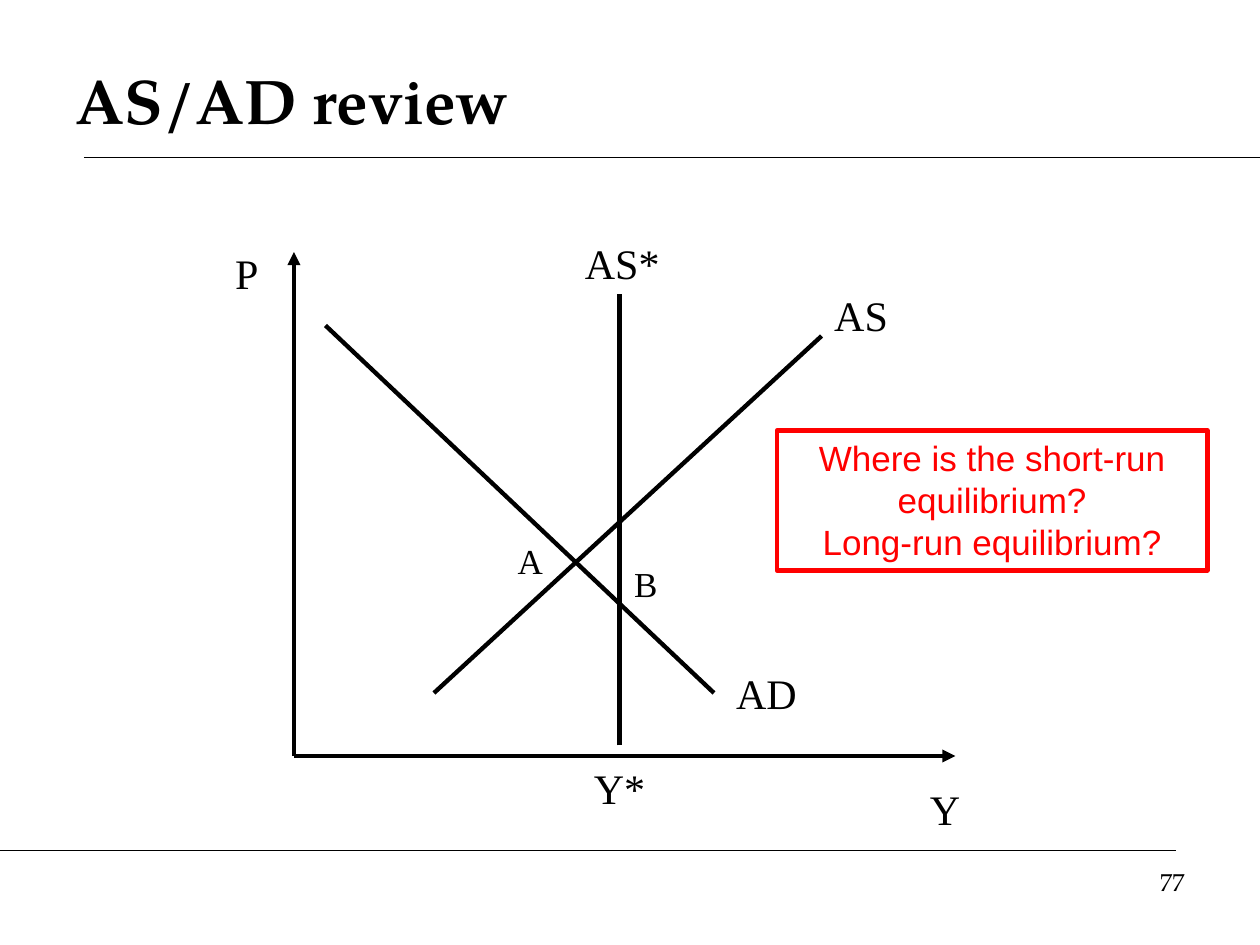
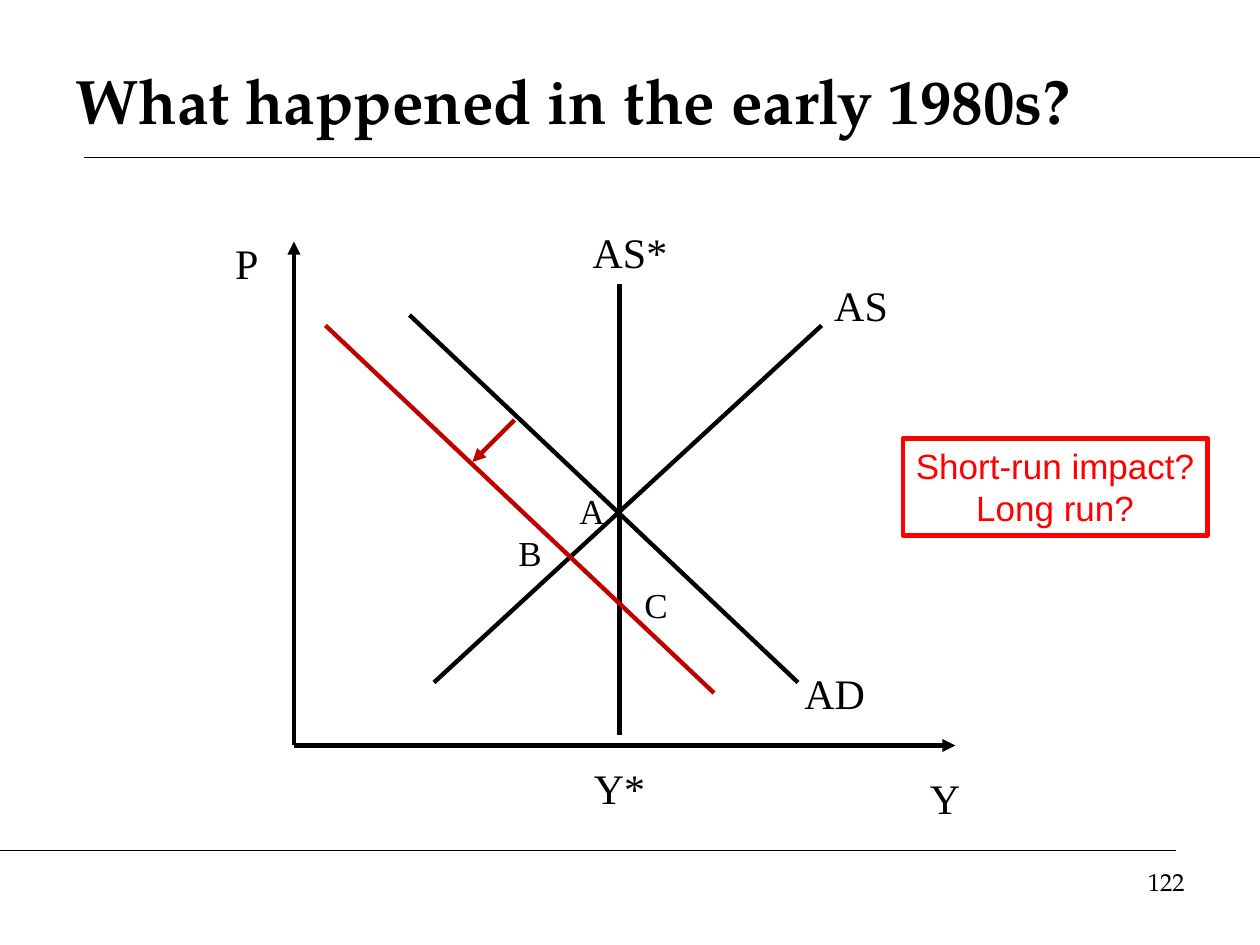
from dataclasses import dataclass

from lxml import etree
from pptx import Presentation
from pptx.dml.color import RGBColor
from pptx.enum.shapes import MSO_CONNECTOR, MSO_SHAPE
from pptx.enum.text import MSO_ANCHOR, PP_ALIGN
from pptx.oxml.ns import qn
from pptx.util import Pt

STRAIGHT = MSO_CONNECTOR.STRAIGHT
RECTANGLE = MSO_SHAPE.RECTANGLE
TOP = MSO_ANCHOR.TOP
MIDDLE = MSO_ANCHOR.MIDDLE
LEFT = PP_ALIGN.LEFT
CENTER = PP_ALIGN.CENTER
RIGHT = PP_ALIGN.RIGHT
TITLE_ONLY = 5


@dataclass(frozen=True)
class Theme:
    ink: RGBColor = RGBColor(0x00, 0x00, 0x00)
    question: RGBColor = RGBColor(0xFF, 0x00, 0x00)
    shift: RGBColor = RGBColor(0xC0, 0x00, 0x00)
    heading_font: str = "TeX Gyre Pagella"
    label_font: str = "Times New Roman"
    question_font: str = "Arial"
    title_size: float = 36
    label_size: float = 24
    point_size: float = 20
    question_size: float = 20
    number_size: float = 14
    rule_width: float = 0.75
    curve_width: float = 2.5


THEME = Theme()
WIDTH, HEIGHT = 720, 540
ORIGIN_X, ORIGIN_Y = 168, 432
LONG_RUN_X = 354
AD_START, AD_END = (186, 186), (408, 396)


def write_text(shape, text, font, size, color, align=CENTER, anchor=TOP, bold=False):
    frame = shape.text_frame
    frame.word_wrap = True
    frame.vertical_anchor = anchor
    frame.text = text
    for para in frame.paragraphs:
        para.alignment = align
        for span in para.runs:
            span.font.name = font
            span.font.size = Pt(size)
            span.font.bold = bold
            span.font.color.rgb = color


def add_line(slide, start, end, color=THEME.ink, width=THEME.curve_width, arrow=False):
    line = slide.shapes.add_connector(STRAIGHT, *map(Pt, (*start, *end)))
    line.line.color.rgb = color
    line.line.width = Pt(width)
    if arrow:
        etree.SubElement(line.line._get_or_add_ln(), qn("a:tailEnd"), type="triangle")
    etree.SubElement(line._element.spPr, qn("a:effectLst"))


def add_label(slide, text, left, top, width, size=THEME.label_size):
    box = slide.shapes.add_textbox(Pt(left), Pt(top), Pt(width), Pt(size * 1.5))
    write_text(box, text, THEME.label_font, size, THEME.ink)


def add_point(slide, text, left, top, width=42):
    add_label(slide, text, left, top, width, THEME.point_size)


def add_question(slide, text, left, top, width, height):
    box = slide.shapes.add_shape(RECTANGLE, Pt(left), Pt(top), Pt(width), Pt(height))
    box.shadow.inherit = False
    box.fill.background()
    box.line.color.rgb = THEME.question
    box.line.width = Pt(THEME.curve_width)
    write_text(box, text, THEME.question_font, THEME.question_size, THEME.question)


def add_page(deck, title, number):
    page = deck.slides.add_slide(deck.slide_layouts[TITLE_ONLY])
    add_line(page, (48, 90), (WIDTH, 90), width=THEME.rule_width)
    add_line(page, (0, 486), (672, 486), width=THEME.rule_width)
    heading = page.shapes.title
    heading.left, heading.top, heading.width, heading.height = map(Pt, (36, 24, 648, 66))
    write_text(heading, title, THEME.heading_font, THEME.title_size, THEME.ink,
               LEFT, MIDDLE, bold=True)
    box = page.shapes.add_textbox(Pt(516), Pt(492), Pt(168), Pt(37))
    write_text(box, number, THEME.heading_font, THEME.number_size, THEME.ink, RIGHT)
    return page


def add_market(page, rise=0):
    base = ORIGIN_Y - rise
    add_line(page, (ORIGIN_X, base), (546, base), arrow=True)
    add_line(page, (ORIGIN_X, base), (ORIGIN_X, base - 288), arrow=True)
    add_line(page, (248, base - 36), (469.5, base - 240))
    add_line(page, (LONG_RUN_X, base - 6), (LONG_RUN_X, base - 264))
    add_label(page, "Y", 516, base + 12, 48)
    add_label(page, "P", 120, base - 294, 42)
    add_label(page, "AS", 468, base - 270, 48)
    add_label(page, "Y*", LONG_RUN_X - 24, ORIGIN_Y, 48)


def build_review(deck):
    page = add_page(deck, "AS/AD review", "77")
    add_market(page)
    add_line(page, AD_END, AD_START)
    add_label(page, "AD", 405, 378, 66)
    add_label(page, "AS*", 325.5, 132, 60)
    add_point(page, "A", 282, 304.5)
    add_point(page, "B", 348, 318)
    add_question(page, "Where is the short-run equilibrium?\nLong-run equilibrium?",
                 444, 246, 246, 80)


def build_early_eighties(deck):
    page = add_page(deck, "What happened in the early 1980s?", "122")
    add_market(page, rise=6)
    add_line(page, (456, 390), (234, 180))
    add_label(page, "AD", 444, 378, 66)
    add_label(page, "AS*", 318, 126, 84)
    add_point(page, "A", 324, 276, 24)
    add_line(page, AD_END, AD_START, THEME.shift)
    add_line(page, (294, 240), (270, 264), THEME.shift, arrow=True)
    add_point(page, "B", 282, 300)
    add_point(page, "C", LONG_RUN_X, 330)
    add_question(page, "Short-run impact? Long run?", 516, 250.5, 174, 55.5)


def main():
    deck = Presentation()
    deck.slide_width, deck.slide_height = Pt(WIDTH), Pt(HEIGHT)
    build_review(deck)
    build_early_eighties(deck)
    deck.save("out.pptx")


if __name__ == "__main__":
    main()
